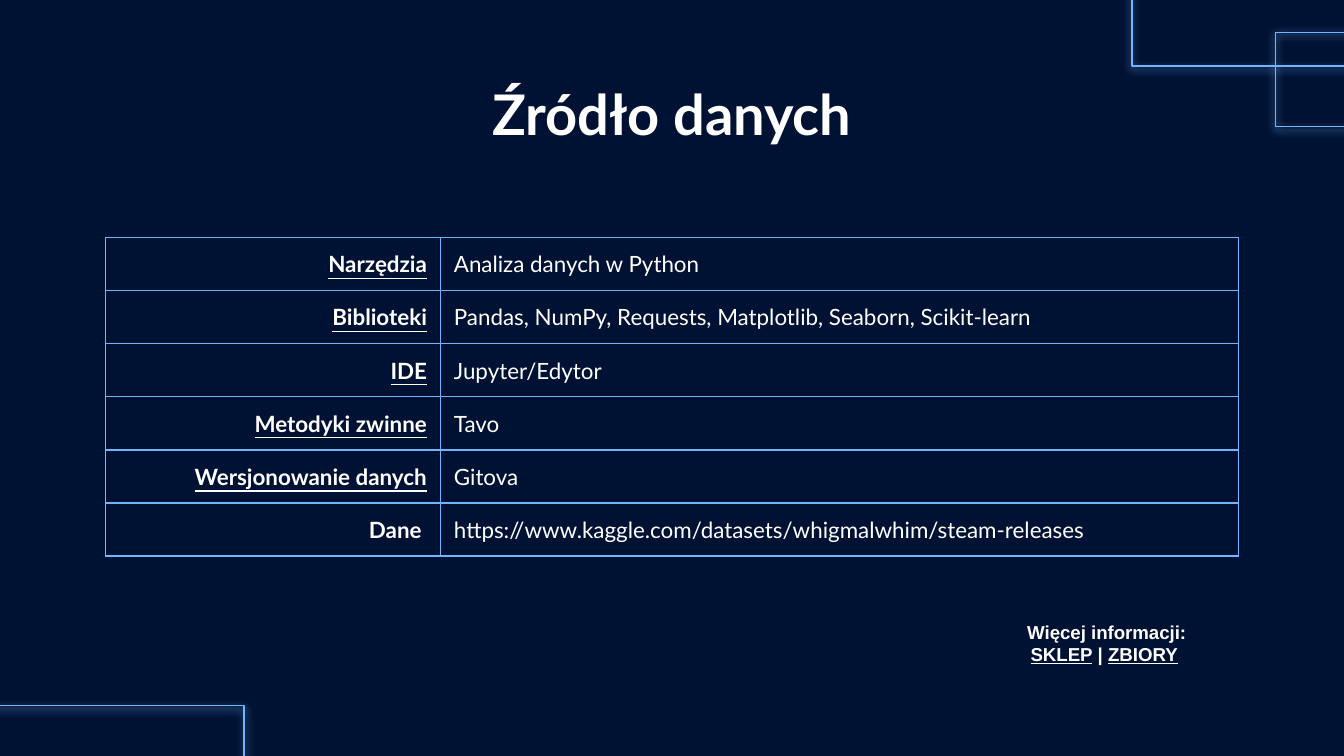
from lxml import etree
from pptx import Presentation, util as u
from pptx.dml.color import RGBColor
from pptx.enum import shapes, text
from pptx.oxml import parse_xml
from pptx.oxml.ns import nsdecls, qn

NAVY = RGBColor(0x00, 0x12, 0x33)
BLUE = RGBColor(0x74, 0xB4, 0xFF)
WHITE = RGBColor(0xFF, 0xFF, 0xFF)
LINE_WIDTH = u.Pt(0.75)


class SlideBuilder:
    """Holds the style and the current slide."""

    font = "Lato"
    note_font = "Arial"

    def __init__(self, prs):
        self.slide = prs.slides.add_slide(prs.slide_layouts[5])
        fill = self.slide.background.fill
        fill.solid()
        fill.fore_color.rgb = NAVY

    def run(self, p, words, size, font=None, bold=False, underline=False):
        r = p.add_run()
        r.text = words
        r.font.name = font or self.font
        r.font.size = u.Pt(size)
        r.font.bold = bold
        r.font.underline = underline
        r.font.color.rgb = WHITE

    def frame(self, tf, inset=7.2):
        tf.word_wrap = True
        tf.auto_size = text.MSO_AUTO_SIZE.NONE
        tf.vertical_anchor = text.MSO_ANCHOR.TOP
        tf.margin_left = tf.margin_right = u.Pt(inset)
        tf.margin_top = tf.margin_bottom = u.Pt(inset)
        p = tf.paragraphs[0]
        p.alignment = text.PP_ALIGN.CENTER
        return p

    def title(self, words, x, y, w, h):
        sp = self.slide.shapes.title
        sp.left, sp.top, sp.width, sp.height = map(u.Pt, (x, y, w, h))
        self.run(self.frame(sp.text_frame), words, 30, bold=True)

    def glow_frame(self, x, y, w, h):
        sp = self.slide.shapes.add_shape(
            shapes.MSO_SHAPE.RECTANGLE, *map(u.Pt, (x, y, w, h)))
        sp.fill.background()
        sp.line.color.rgb = BLUE
        sp.line.width = LINE_WIDTH
        sp.shadow.inherit = False
        effects = sp._element.spPr.find(qn("a:effectLst"))
        effects.append(parse_xml(
            f'<a:outerShdw {nsdecls("a")} blurRad="{u.Pt(4.5)}" '
            f'dist="{u.Pt(1.5)}" dir="5400000" algn="bl" rotWithShape="0">'
            f'<a:srgbClr val="{BLUE}"/></a:outerShdw>'))

    def borders(self, cell):
        tc_pr = cell._tc.get_or_add_tcPr()
        for i, side in enumerate(("lnL", "lnR", "lnT", "lnB")):
            ln = etree.Element(qn(f"a:{side}"), w=str(LINE_WIDTH))
            solid = etree.SubElement(ln, qn("a:solidFill"))
            etree.SubElement(solid, qn("a:srgbClr"), val=str(BLUE))
            tc_pr.insert(i, ln)

    def table(self, rows, x, y, widths, row_height):
        frame = self.slide.shapes.add_table(
            len(rows), len(widths), u.Pt(x), u.Pt(y),
            u.Pt(sum(widths)), u.Pt(row_height * len(rows)))
        table = frame.table
        table.first_row = table.horz_banding = False
        for column, width in zip(table.columns, widths):
            column.width = u.Pt(width)
        for row, (label, value, underline) in zip(table.rows, rows):
            row.height = u.Pt(row_height)
            for i, (cell, words) in enumerate(zip(row.cells, (label, value))):
                is_label = i == 0
                cell.fill.background()
                self.borders(cell)
                cell.margin_top = cell.margin_bottom = 0
                cell.margin_left = cell.margin_right = u.Pt(7.2)
                cell.vertical_anchor = text.MSO_ANCHOR.MIDDLE
                p = cell.text_frame.paragraphs[0]
                p.alignment = (text.PP_ALIGN.RIGHT if is_label
                               else text.PP_ALIGN.LEFT)
                self.run(p, words, 12, bold=is_label,
                         underline=is_label and underline)

    def note(self, heading, parts, x, y, w, h):
        sp = self.slide.shapes.add_textbox(*map(u.Pt, (x, y, w, h)))
        p = self.frame(sp.text_frame)
        self.run(p, heading, 10, self.note_font, bold=True)
        p.add_line_break()
        for words, underline in parts:
            self.run(p, words, 10, self.note_font, True, underline)


def main():
    prs = Presentation()
    prs.slide_width, prs.slide_height = u.Pt(720), u.Pt(405)
    s = SlideBuilder(prs)

    # Corner frames
    s.glow_frame(-6.5, 378, 137.3, 32.4)
    s.glow_frame(606.4, -8.6, 119.5, 43.9)
    s.glow_frame(683.3, 17.3, 48.2, 50.4)

    # Title
    s.title("Źródło danych", 56.7, 35.3, 606.6, 45.4)

    # Project facts: label, value, label underlined
    s.table([
        ("Narzędzia", "Analiza danych w Python", True),
        ("Biblioteki",
         "Pandas, NumPy, Requests, Matplotlib, Seaborn, Scikit-learn", True),
        ("IDE", "Jupyter/Edytor", True),
        ("Metodyki zwinne", "Tavo", True),
        ("Wersjonowanie danych", "Gitova", True),
        ("Dane ",
         "https://www.kaggle.com/datasets/whigmalwhim/steam-releases", False),
    ], 56.7, 127.3, (179.3, 427.6), 28.45)

    # Further information
    s.note("Więcej informacji:",
           [("SKLEP", True), (" | ", False), ("ZBIORY", True), (" ", False)],
           522, 325.4, 141.8, 36)

    prs.save("out.pptx")


if __name__ == "__main__":
    main()
